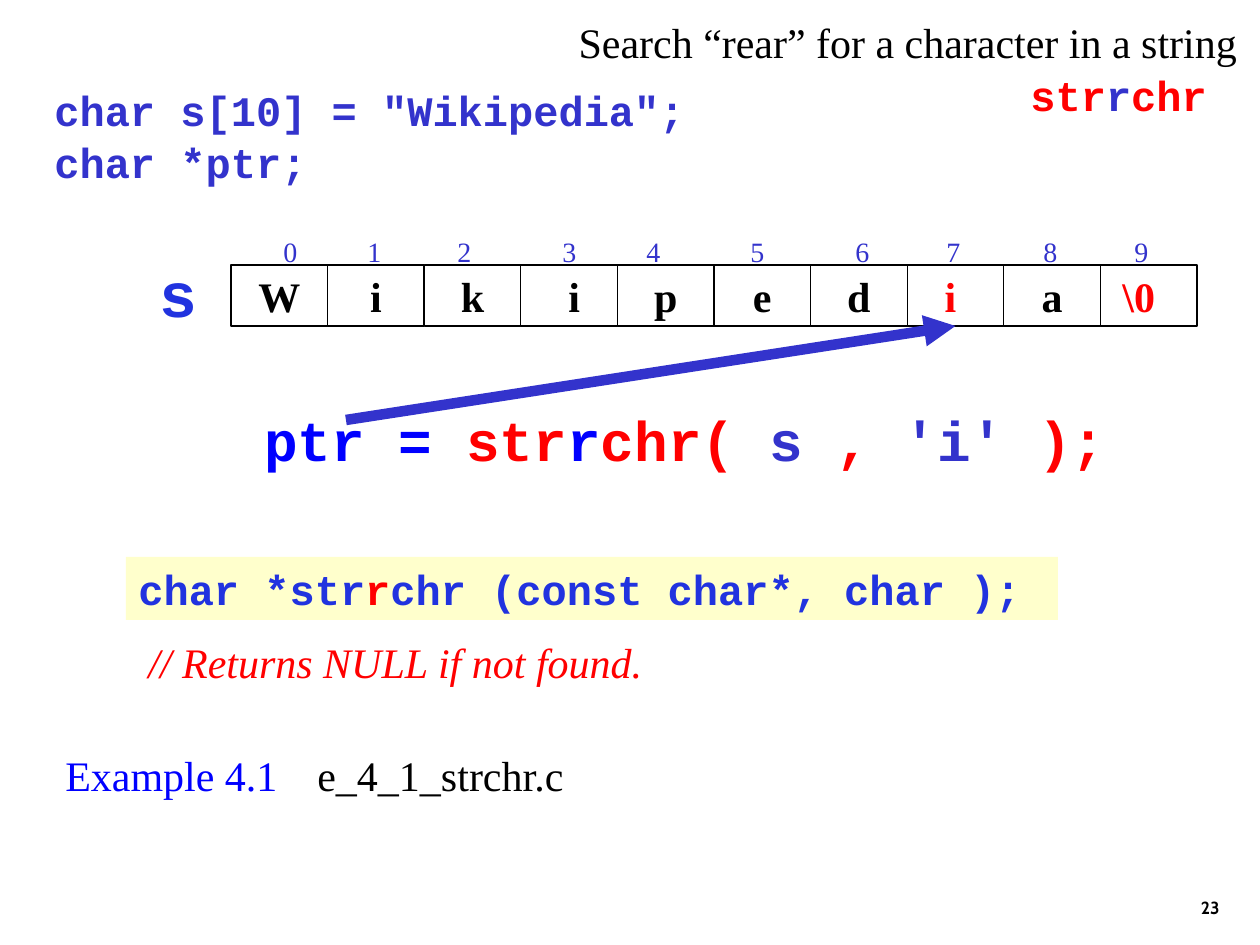
from lxml import etree
from pptx import Presentation
from pptx.dml.color import RGBColor
from pptx.enum.shapes import MSO_CONNECTOR, MSO_SHAPE
from pptx.enum.text import MSO_ANCHOR, MSO_AUTO_SIZE, PP_ALIGN
from pptx.oxml.ns import qn
from pptx.util import Emu, Pt

LEFT, CENTER, RIGHT = PP_ALIGN.LEFT, PP_ALIGN.CENTER, PP_ALIGN.RIGHT
TOP, MIDDLE, BOTTOM = MSO_ANCHOR.TOP, MSO_ANCHOR.MIDDLE, MSO_ANCHOR.BOTTOM
RECTANGLE, STRAIGHT = MSO_SHAPE.RECTANGLE, MSO_CONNECTOR.STRAIGHT

PX = 914400 / 126
SERIF, MONO, SANS = "Times New Roman", "Courier New", "Cabin"
BLACK, RED, BLUE = "000000", "FF0000", "0000FF"
INDIGO, ROYAL, CREAM = "3333CC", "2133DF", "FFFFCC"

TITLE = [[("Search “rear” for a character in a string", BLACK)]]

# Position in px, lines of (text, colour) spans, format
TEXTS = [
    ((970, 861, 262, 63), [[("23", BLACK)]],
     dict(font=SANS, size=10, bold=True, align=RIGHT, anchor=BOTTOM)),
    ((42, 78, 935, 113),
     [[('char s[10] = "Wikipedia";', INDIGO)], [("char *ptr;", INDIGO)]],
     dict(font=MONO, bold=True, gap=1.4)),
    ((147, 248, 63, 88), [[("s", ROYAL)]],
     dict(font=MONO, size=36, bold=True, align=RIGHT, wrap=False)),
    ((252, 399, 892, 131),
     [[("ptr = ", BLUE), ("str", RED), ("r", BLUE), ("chr( ", RED),
       ("s ", INDIGO), (",", RED), (" 'i' ", INDIGO), (");", RED)]],
     dict(font=MONO, size=32, bold=True)),
    ((126, 557, 932, 63),
     [[("char *str", ROYAL), ("r", RED), ("chr (const char*, char );", ROYAL)]],
     dict(font=MONO, bold=True, fill=CREAM)),
    ((136, 630, 519, 63), [[("// Returns NULL if not found.", RED)]],
     dict(italic=True, wrap=False)),
    ((53, 743, 630, 113),
     [[("Example 4.1\t", BLUE), ("e_4_1_strchr.c", BLACK)]],
     dict(tabs=[252])),
    ((1018, 63, 221, 63), [[("str", RED), ("r", INDIGO), ("chr", RED)]],
     dict(font=MONO, bold=True)),
]

# Character, colour, sideways nudge in px
CELLS = [("W", BLACK, 0), ("i", BLACK, 0), ("k", BLACK, 0), ("i", BLACK, 5),
         ("p", BLACK, 0), ("e", BLACK, 0), ("d", BLACK, 0), ("i", RED, -5),
         ("a", BLACK, 0), ("\\0", RED, -10)]
ARRAY_LEFT, ARRAY_TOP, ARRAY_WIDTH, CELL_HEIGHT = 231, 265, 966, 61
INDEX_TABS = [40, 124, 214, 319, 403, 507, 612, 703, 800, 891]
FOUND_CELL = 7
POINTER_START = (346, 420)
INSET = 12


def px(value):
    return Emu(round(value * PX))


def color(hex_text):
    return RGBColor.from_string(hex_text)


def add_tabs(para, stops):
    tab_list = etree.SubElement(para._p.get_or_add_pPr(), qn("a:tabLst"))
    for stop in stops:
        etree.SubElement(tab_list, qn("a:tab"), pos=str(px(stop)), algn="l")


def write(shape, lines, font=SERIF, size=24, bold=False, italic=False,
          align=LEFT, anchor=TOP, wrap=True, gap=0, tabs=()):
    frame = shape.text_frame
    frame.auto_size = MSO_AUTO_SIZE.NONE
    frame.word_wrap = wrap
    frame.vertical_anchor = anchor
    for number, spans in enumerate(lines):
        para = frame.add_paragraph() if number else frame.paragraphs[0]
        para.alignment = align
        if number and gap:
            para.space_before = Pt(gap)
        if tabs:
            add_tabs(para, tabs)
        for text, hex_text in spans:
            span = para.add_run()
            span.text = text
            span.font.name = font
            span.font.size = Pt(size)
            span.font.bold = bold
            span.font.italic = italic
            span.font.color.rgb = color(hex_text)


def add_box(slide, place, fill=None, line=None):
    box = slide.shapes.add_shape(RECTANGLE, *map(px, place))
    box.shadow.inherit = False
    if fill:
        box.fill.solid()
        box.fill.fore_color.rgb = color(fill)
    else:
        box.fill.background()
    if line:
        box.line.color.rgb = color(line)
        box.line.width = Pt(0.75)
    else:
        box.line.fill.background()
    return box


def add_text(slide, place, lines, fill=None, **style):
    if fill:
        box = add_box(slide, place, fill=fill)
    else:
        box = slide.shapes.add_textbox(*map(px, place))
    write(box, lines, **style)


def add_array(slide):
    """Draw the indexed row of characters and return its cells."""
    spans = [("".join(f"\t{index}" for index in range(len(CELLS))), INDIGO)]
    add_text(slide, (ARRAY_LEFT, 221, ARRAY_WIDTH, CELL_HEIGHT), [spans],
             size=16, anchor=MIDDLE, tabs=INDEX_TABS)
    width = ARRAY_WIDTH / len(CELLS)
    cells = []
    for index, (text, hex_text, nudge) in enumerate(CELLS):
        place = (ARRAY_LEFT + index * width, ARRAY_TOP, width, CELL_HEIGHT)
        cell = add_box(slide, place, line=BLACK)
        write(cell, [[(text, hex_text)]], bold=True, align=CENTER, anchor=MIDDLE)
        cell.text_frame.margin_left = px(INSET + 2 * max(nudge, 0))
        cell.text_frame.margin_right = px(INSET + 2 * max(-nudge, 0))
        cells.append(cell)
    return cells


def add_pointer(slide, target):
    x, y = map(px, POINTER_START)
    arrow = slide.shapes.add_connector(STRAIGHT, x, y, x, y)
    arrow.end_connect(target, 2)
    arrow.line.color.rgb = color(INDIGO)
    arrow.line.width = Pt(6)
    etree.SubElement(arrow.line._get_or_add_ln(), qn("a:tailEnd"), type="triangle")
    etree.SubElement(arrow._element.spPr, qn("a:effectLst"))


def main():
    deck = Presentation()
    deck.slide_width, deck.slide_height = px(1260), px(945)
    slide = deck.slides.add_slide(deck.slide_layouts.get_by_name("Title Only"))
    title = slide.shapes.title
    title.left, title.top, title.width, title.height = map(px, (566, 10, 684, 63))
    write(title, TITLE, wrap=False)
    cells = add_array(slide)
    for place, lines, style in TEXTS:
        add_text(slide, place, lines, **style)
    add_pointer(slide, cells[FOUND_CELL])
    deck.save("out.pptx")


if __name__ == "__main__":
    main()
